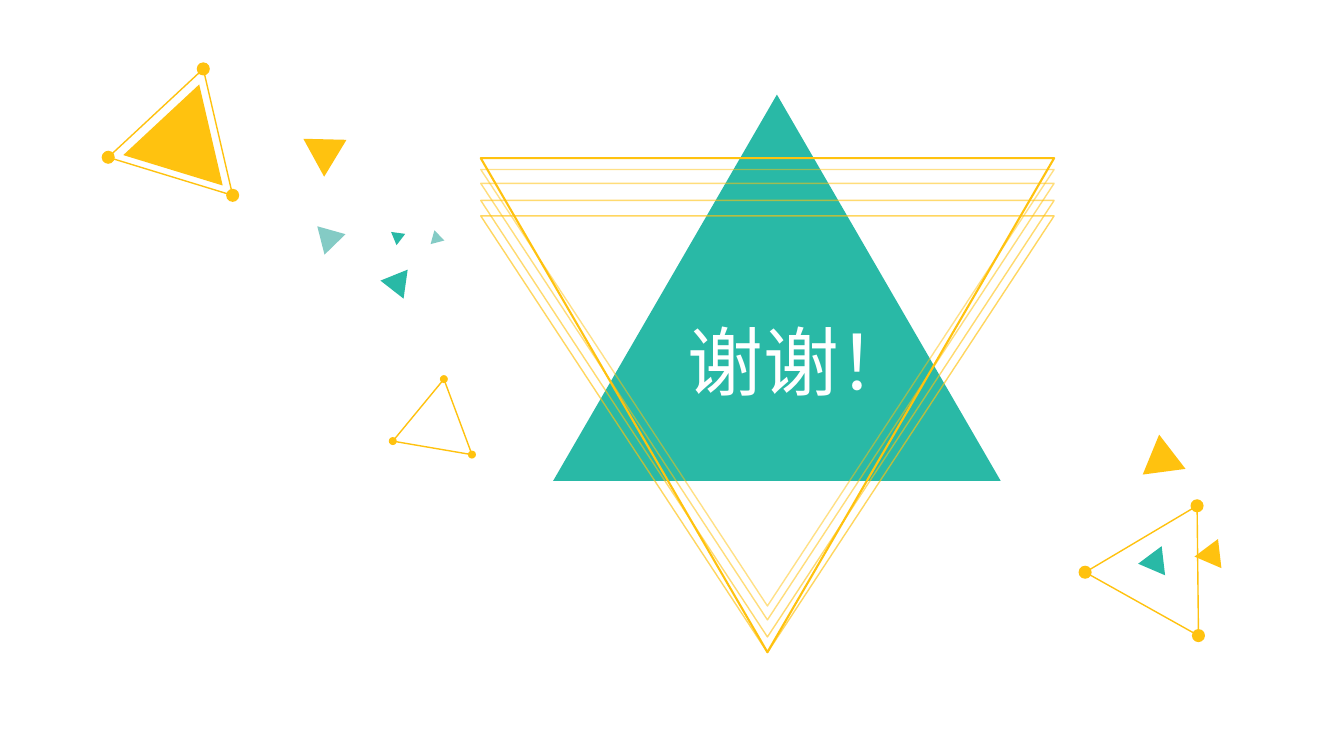
import math
from dataclasses import dataclass
from typing import Optional

import lxml.etree
import pptx
import pptx.dml.color
import pptx.enum.shapes
import pptx.enum.text
import pptx.oxml.ns
import pptx.util

Cm = pptx.util.Cm
Pt = pptx.util.Pt
SHAPE = pptx.enum.shapes.MSO_SHAPE
COLORS = {"teal": "29B9A6", "mist": "84CBC5", "amber": "FFC20F", "white": "FFFFFF"}
FONT = "Noto Sans CJK JP"
ASPECT = 0.863


@dataclass
class Triangle:
    cx: float
    cy: float
    width: float
    angle: float
    fill: Optional[str] = None
    height: Optional[float] = None
    line_pt: float = 1
    alpha: int = 100
    dot: float = 0


def rgb(name: str) -> pptx.dml.color.RGBColor:
    return pptx.dml.color.RGBColor.from_string(COLORS[name])


def add_centred(s, kind, cx: float, cy: float, width: float, height: float):
    sp = s.shapes.add_shape(
        kind, Cm(cx - width / 2), Cm(cy - height / 2), Cm(width), Cm(height)
    )
    sp.shadow.inherit = False
    return sp


def fill_shape(sp, color: str) -> None:
    sp.fill.solid()
    sp.fill.fore_color.rgb = rgb(color)
    sp.line.fill.background()


def outline_shape(sp, t: Triangle) -> None:
    sp.fill.background()
    sp.line.width = Pt(t.line_pt)
    sp.line.color.rgb = rgb("amber")
    if t.alpha < 100:
        color = sp.line._ln.find(".//" + pptx.oxml.ns.qn("a:srgbClr"))
        alpha = lxml.etree.SubElement(color, pptx.oxml.ns.qn("a:alpha"))
        alpha.set("val", str(t.alpha * 1000))


def draw_triangle(s, t: Triangle) -> None:
    height = t.height or t.width * ASPECT
    sp = add_centred(s, SHAPE.ISOSCELES_TRIANGLE, t.cx, t.cy, t.width, height)
    sp.rotation = t.angle
    if t.fill:
        fill_shape(sp, t.fill)
    else:
        outline_shape(sp, t)
    if t.dot:
        cos, sin = math.cos(math.radians(t.angle)), math.sin(math.radians(t.angle))
        for x, y in ((0, -height / 2), (-t.width / 2, height / 2), (t.width / 2, height / 2)):
            dot = add_centred(
                s, SHAPE.OVAL, t.cx + x * cos - y * sin, t.cy + x * sin + y * cos, t.dot, t.dot
            )
            fill_shape(dot, t.fill or "amber")


def format_title(sp, text: str) -> None:
    sp.left, sp.top, sp.width, sp.height = Cm(17.07), Cm(7.82), Cm(6.5), Cm(2.57)
    tf = sp.text_frame
    tf.word_wrap = True
    tf.auto_size = pptx.enum.text.MSO_AUTO_SIZE.SHAPE_TO_FIT_TEXT
    tf.vertical_anchor = pptx.enum.text.MSO_ANCHOR.TOP
    p = tf.paragraphs[0]
    p.alignment = pptx.enum.text.PP_ALIGN.LEFT
    r = p.add_run()
    r.text = text
    for font in (p.font, r.font):
        font.name = FONT
        font.size = Pt(54)
        font.color.rgb = rgb("white")
        ea = lxml.etree.SubElement(font._element, pptx.oxml.ns.qn("a:ea"))
        ea.set("typeface", FONT)


RIGHT_CLUSTER = [
    Triangle(19.58, 7.25, 11.28, 0, "teal"),
    Triangle(29.17, 11.67, 1.09, 232.4, "amber"),
    Triangle(29.17, 14.24, 0.74, 143.3, "teal"),
    Triangle(30.59, 14.06, 0.74, 143.3, "amber"),
    Triangle(29.48, 14.8, 3.28, 149.3, dot=0.33),
    Triangle(10.72, 10.81, 2.03, 249.6, dot=0.2),
]
NESTED_FRAMES = [Triangle(19.34, 10.21, 14.45, 180, height=12.45, line_pt=1.5)] + [
    Triangle(19.34, top + 5.5, 14.45, 180, height=11, alpha=alpha)
    for top, alpha in ((5.44, 65), (5.05, 60), (4.62, 55), (4.27, 50))
]
LEFT_CLUSTER = [
    Triangle(8.22, 5.93, 0.74, 315.7, "mist"),
    Triangle(8.32, 3.75, 1.09, 61.3, "amber"),
    Triangle(10.05, 7.23, 0.74, 158, "teal"),
    Triangle(4.69, 3.21, 2.62, 17, "amber"),
    Triangle(4.71, 3.09, 3.28, 17, dot=0.33),
    Triangle(11.05, 6.02, 0.36, 105.3, "mist"),
    Triangle(9.98, 5.94, 0.36, 307.6, "teal"),
]


def main() -> None:
    prs = pptx.Presentation()
    prs.slide_width, prs.slide_height = Cm(33.87), Cm(19.05)
    s = prs.slides.add_slide(prs.slide_layouts[5])
    title = s.shapes.title
    for t in RIGHT_CLUSTER + NESTED_FRAMES:
        draw_triangle(s, t)
    s.shapes._spTree.append(title._element)
    format_title(title, "谢谢！")
    for t in LEFT_CLUSTER:
        draw_triangle(s, t)
    prs.save("out.pptx")


if __name__ == "__main__":
    main()
